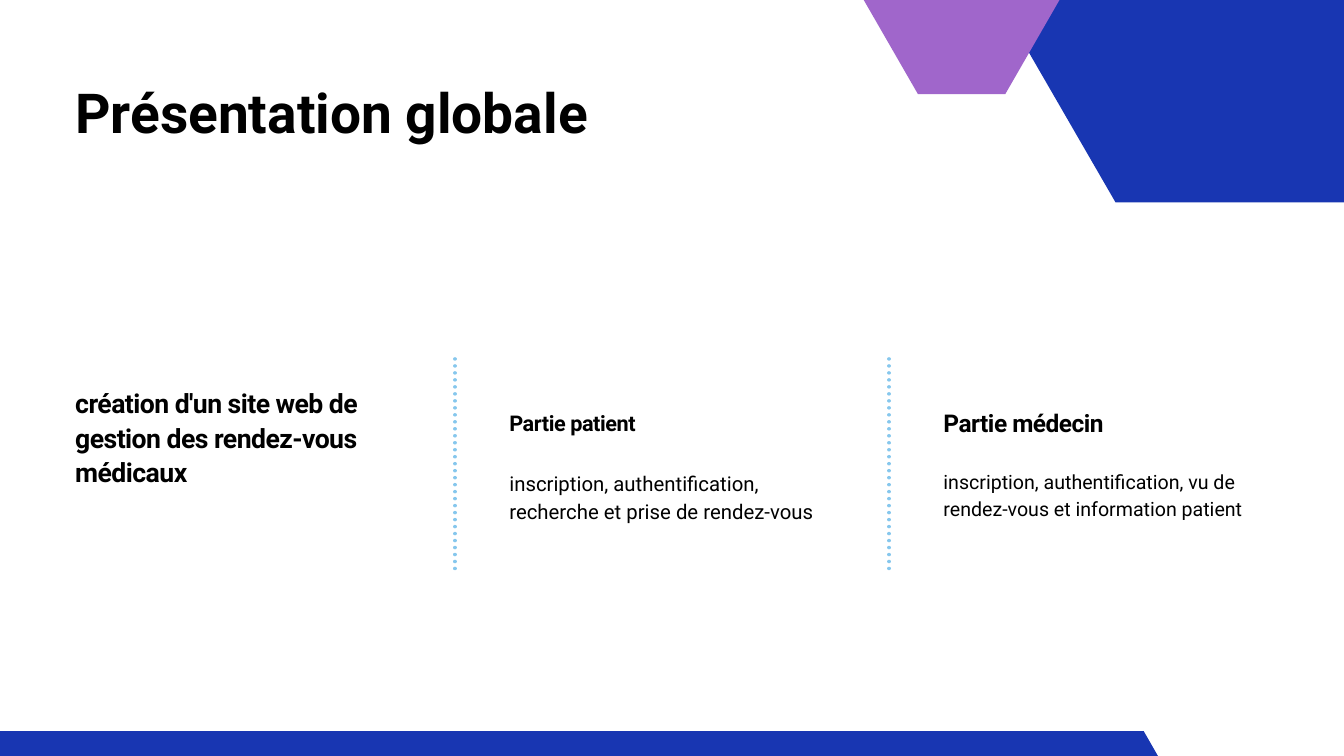
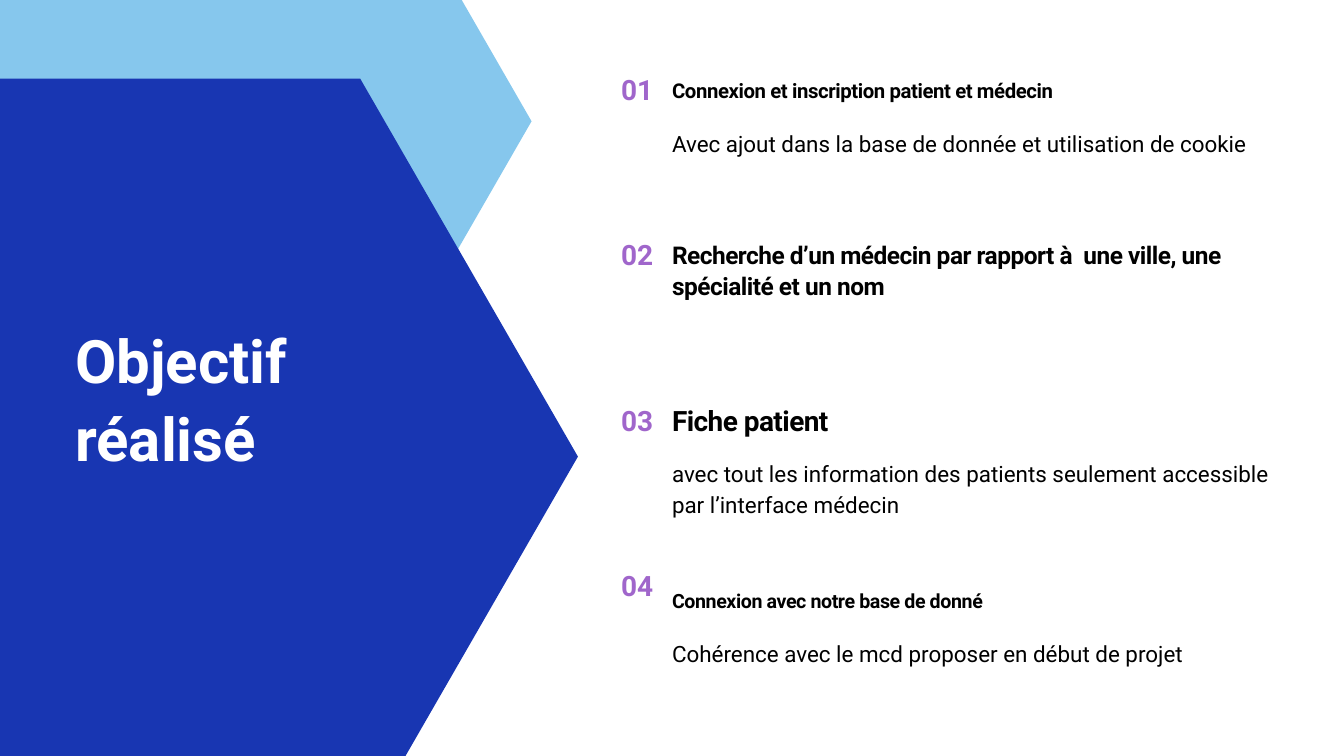
"""Two slides on a medical appointment site: overview and goals reached."""
from lxml import etree
from pptx import Presentation
from pptx.dml.color import RGBColor
from pptx.enum.dml import MSO_LINE
from pptx.enum.shapes import MSO_CONNECTOR
from pptx.enum.text import MSO_ANCHOR, MSO_AUTO_SIZE, PP_ALIGN
from pptx.oxml.ns import qn
from pptx.util import Inches, Pt

STRAIGHT = MSO_CONNECTOR.STRAIGHT
DOTTED = MSO_LINE.ROUND_DOT
TOP = MSO_ANCHOR.TOP
GROW = MSO_AUTO_SIZE.SHAPE_TO_FIT_TEXT
LEFT, RIGHT = PP_ALIGN.LEFT, PP_ALIGN.RIGHT

FONT = "Roboto"
BLUE, SKY, PURPLE = "1836B2", "86C7ED", "A066CB"
BLACK, WHITE = "000000", "FFFFFF"
MARGIN = 1.12


def write(shape, box, text, size, leading, color=BLACK, bold=True, tracking=0, align=LEFT):
    """Place a text shape and format its only paragraph."""
    frame = shape.text_frame
    frame.text = text
    frame.word_wrap = True
    frame.auto_size = GROW
    frame.vertical_anchor = TOP
    frame.margin_left = frame.margin_top = frame.margin_right = frame.margin_bottom = 0
    shape.left, shape.top, shape.width, shape.height = map(Inches, box)
    paragraph = frame.paragraphs[0]
    paragraph.alignment = align
    paragraph.line_spacing = Pt(round(size * leading, 1))
    run = paragraph.runs[0]
    run.font.name = FONT
    run.font.size = Pt(size)
    run.font.bold = bold
    run.font.color.rgb = RGBColor.from_string(color)
    if tracking:
        run._r.get_or_add_rPr().set("spc", str(round(size * tracking)))


def add_hexagon(slide, left, top, width, height, slant, color):
    """Draw a flat-topped hexagon whose side points reach out by slant."""
    right, bottom, middle = left + width, top + height, top + height / 2
    corners = [(left + slant, top), (right - slant, top), (right, middle),
               (right - slant, bottom), (left + slant, bottom), (left, middle)]
    start, *others = [(Inches(x), Inches(y)) for x, y in corners]
    builder = slide.shapes.build_freeform(*start)
    builder.add_line_segments(others, close=True)
    hexagon = builder.convert_to_shape()
    hexagon.shadow.inherit = False
    hexagon.fill.solid()
    hexagon.fill.fore_color.rgb = RGBColor.from_string(color)
    hexagon.line.fill.background()


heading_style = {"leading": 1.3, "tracking": -2}
detail_style = {"leading": 1.4, "bold": False}

deck = Presentation()
deck.slide_width, deck.slide_height = Inches(20), Inches(11.25)
title_only = deck.slide_layouts[5]

overview = deck.slides.add_slide(title_only)
add_hexagon(overview, 14.86, -3.01, 8.09, 6.02, 1.74, BLUE)
add_hexagon(overview, 12.71, -1.9, 3.2, 3.3, 0.95, PURPLE)
add_hexagon(overview, -1.8, 10.88, 19.43, 2.13, 0.61, BLUE)
write(overview.shapes.title, (MARGIN, 1, 8.48, 1.11), "Présentation globale", 59, 1.4)

COLUMN_STEP, COLUMN_WIDTH = 6.46, 4.83
columns = [
    ("création d'un site web de gestion des rendez-vous médicaux", 28.5, 5.72, 1.52, None),
    ("Partie patient", 23.2, 6.06, 0.41,
     ("inscription, authentification, recherche et prise de rendez-vous", 21.8, 6.95, 0.81)),
    ("Partie médecin", 26.2, 6.03, 0.46,
     ("inscription, authentification, vu de rendez-vous et information patient", 21, 6.93, 0.79)),
]
for index, (heading, size, top, height, detail) in enumerate(columns):
    left = MARGIN + index * COLUMN_STEP
    write(overview.shapes.add_textbox(0, 0, 0, 0), (left, top, COLUMN_WIDTH, height),
          heading, size, **heading_style)
    if detail:
        text, size, top, height = detail
        write(overview.shapes.add_textbox(0, 0, 0, 0), (left, top, COLUMN_WIDTH, height),
              text, size, **detail_style)
        divider_x = Inches(left - 0.81)
        divider = overview.shapes.add_connector(
            STRAIGHT, divider_x, Inches(8.46), divider_x, Inches(5.26))
        divider.line.color.rgb = RGBColor.from_string(SKY)
        divider.line.width = Pt(3.75)
        divider.line.dash_style = DOTTED
        divider.get_or_add_ln().set("cap", "rnd")
        etree.SubElement(divider.element.spPr, qn("a:effectLst"))

goals = deck.slides.add_slide(title_only)
add_hexagon(goals, -2.83, -1.6, 10.74, 6.81, 1.96, SKY)
add_hexagon(goals, -3.51, 1.17, 12.11, 11.25, 3.24, BLUE)
goals_title = goals.shapes.title
write(goals_title, (MARGIN, 4.73, 5.2, 2.29), "Objectif réalisé", 64.2, 1.3, WHITE)
goals.shapes.element.append(goals_title.element)

GOAL_LEFT, GOAL_WIDTH, GOAL_STEP = 10, 8.88, 2.46
achievements = [
    ("Connexion et inscription patient et médecin", 21.8, 1.13, 0.38,
     "Avec ajout dans la base de donnée et utilisation de cookie", 1.87, 0.45),
    ("Recherche d’un médecin par rapport à  une ville, une spécialité et un nom", 26.2, 3.53, 0.93,
     None, 0, 0),
    ("Fiche patient", 30, 5.96, 0.53,
     "avec tout les information des patients seulement accessible par l’interface médecin",
     6.78, 0.89),
    ("Connexion avec notre base de donné", 21, 8.73, 0.37,
     "Cohérence avec le mcd proposer en début de projet", 9.46, 0.43),
]
for index, (heading, size, top, height, detail, detail_top, detail_height) in enumerate(achievements):
    write(goals.shapes.add_textbox(0, 0, 0, 0), (9.03, 1.08 + index * GOAL_STEP, 0.69, 0.51),
          f"{index + 1:02}", 30, 1.2, PURPLE, align=RIGHT)
    write(goals.shapes.add_textbox(0, 0, 0, 0), (GOAL_LEFT, top, GOAL_WIDTH, height),
          heading, size, **heading_style)
    if detail:
        write(goals.shapes.add_textbox(0, 0, 0, 0),
              (GOAL_LEFT, detail_top, GOAL_WIDTH, detail_height), detail, 24, **detail_style)

deck.save("out.pptx")
